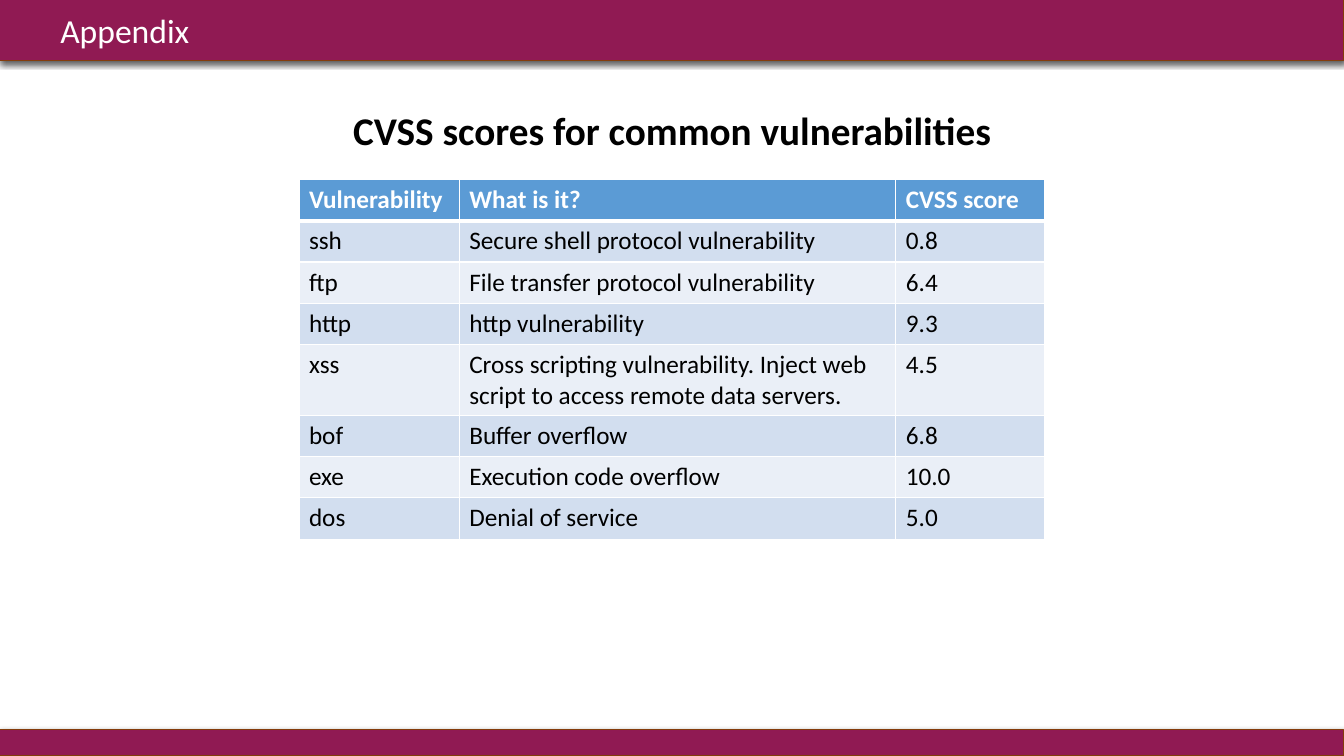
from lxml import etree
from pptx import Presentation, util as u
from pptx.dml.color import RGBColor
from pptx.enum import shapes, text
from pptx.oxml import ns

WIDTH, HEIGHT = 13.33, 7.5
FONT = "Calibri"
COLORS = {
    "band": "901A53",
    "band_edge": "843C0B",
    "white": "FFFFFF",
    "black": "000000",
    "header": "5B9BD5",
    "odd_row": "D2DEEF",
    "even_row": "EAEFF7",
}
SCORES = [
    ("Vulnerability", "What is it?", "CVSS score"),
    ("ssh", "Secure shell protocol vulnerability", "0.8"),
    ("ftp", "File transfer protocol vulnerability", "6.4"),
    ("http", "http vulnerability", "9.3"),
    ("xss", "Cross scripting vulnerability. Inject web script to access remote data servers.", "4.5"),
    ("bof", "Buffer overflow", "6.8"),
    ("exe", "Execution code overflow", "10.0"),
    ("dos", "Denial of service", "5.0"),
]
COLUMN_WIDTHS = (1.59, 4.33, 1.48)
ROW_HEIGHT = 0.41


def color(name):
    return RGBColor.from_string(COLORS[name])


def add_span(para, words, size, ink, bold=False):
    span = para.add_run()
    span.text = words
    span.font.name = FONT
    span.font.size = u.Pt(size)
    span.font.bold = bold
    span.font.color.rgb = color(ink)


def add_child(parent, tag, **attributes):
    child = etree.SubElement(parent, ns.qn(tag))
    for name, value in attributes.items():
        child.set(name, str(value))
    return child


def add_shadow(shape):
    shape.shadow.inherit = False
    effects = shape._element.spPr.find(ns.qn("a:effectLst"))
    shadow = add_child(effects, "a:outerShdw", blurRad=u.Pt(4.5), dist=u.Pt(1.5),
                       dir=90 * 60000, algn="ctr", rotWithShape=0)
    ink = add_child(shadow, "a:srgbClr", val=COLORS["black"])
    add_child(ink, "a:alpha", val=63000)


def add_band(page, box, label=None):
    band = page.shapes.add_shape(shapes.MSO_SHAPE.RECTANGLE, *map(u.Inches, box))
    band.fill.solid()
    band.fill.fore_color.rgb = color("band")
    band.line.color.rgb = color("band_edge")
    band.line.width = u.Pt(0.75)
    add_shadow(band)
    if label:
        band.text_frame.vertical_anchor = text.MSO_ANCHOR.MIDDLE
        para = band.text_frame.paragraphs[0]
        para.alignment = text.PP_ALIGN.LEFT
        para._p.get_or_add_pPr().set("marL", str(u.Inches(0.5)))
        add_span(para, label, 24, "white")


def place_title(page, box, words):
    title = page.shapes.title
    title.left, title.top, title.width, title.height = map(u.Inches, box)
    frame = title.text_frame
    frame.word_wrap = False
    frame.auto_size = text.MSO_AUTO_SIZE.SHAPE_TO_FIT_TEXT
    frame.vertical_anchor = text.MSO_ANCHOR.TOP
    para = frame.paragraphs[0]
    para.alignment = text.PP_ALIGN.CENTER
    add_span(para, words, 28, "black", bold=True)


def set_borders(cell, row):
    properties = cell._tc.get_or_add_tcPr()
    widths = {"L": 1, "R": 1, "T": 3 if row == 1 else 1, "B": 3 if row == 0 else 1}
    for position, (side, width) in enumerate(widths.items()):
        line = etree.Element(ns.qn(f"a:ln{side}"), w=str(u.Pt(width)))
        fill = add_child(line, "a:solidFill")
        add_child(fill, "a:srgbClr", val=COLORS["white"])
        properties.insert(position, line)


def add_score_table(page, box):
    frame = page.shapes.add_table(len(SCORES), len(COLUMN_WIDTHS), *map(u.Inches, box))
    table = frame.table
    for column, width in zip(table.columns, COLUMN_WIDTHS):
        column.width = u.Inches(width)
    for row, entries in enumerate(SCORES):
        table.rows[row].height = u.Inches(ROW_HEIGHT)
        is_header = row == 0
        shade = "header" if is_header else "odd_row" if row % 2 else "even_row"
        for column, words in enumerate(entries):
            cell = table.cell(row, column)
            cell.fill.solid()
            cell.fill.fore_color.rgb = color(shade)
            set_borders(cell, row)
            add_span(cell.text_frame.paragraphs[0], words, 18,
                     "white" if is_header else "black", is_header)


def add_appendix_slide(deck):
    page = deck.slides.add_slide(deck.slide_layouts[5])
    header, footer = HEIGHT * 0.08, 0.26
    table_width = sum(COLUMN_WIDTHS)
    title_width = 6.86
    add_band(page, (0, 0, WIDTH, header), "Appendix")
    add_band(page, (0, HEIGHT - footer, WIDTH, footer))
    place_title(page, ((WIDTH - title_width) / 2, 1, title_width, 0.57),
                "CVSS scores for common vulnerabilities")
    add_score_table(page, ((WIDTH - table_width) / 2, 1.78, table_width,
                           ROW_HEIGHT * len(SCORES)))


def main():
    deck = Presentation()
    deck.slide_width, deck.slide_height = u.Inches(WIDTH), u.Inches(HEIGHT)
    add_appendix_slide(deck)
    deck.save("out.pptx")


if __name__ == "__main__":
    main()
